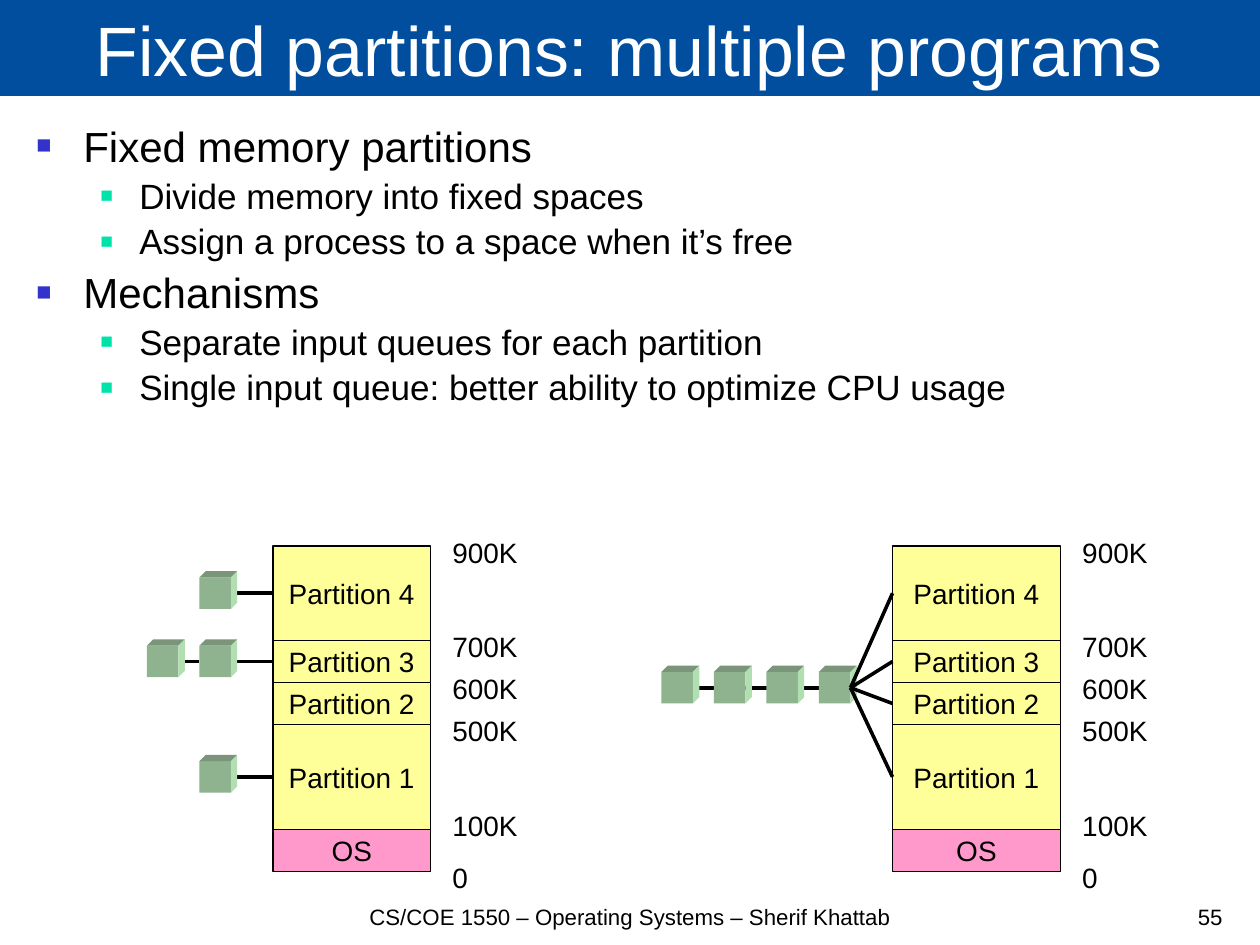
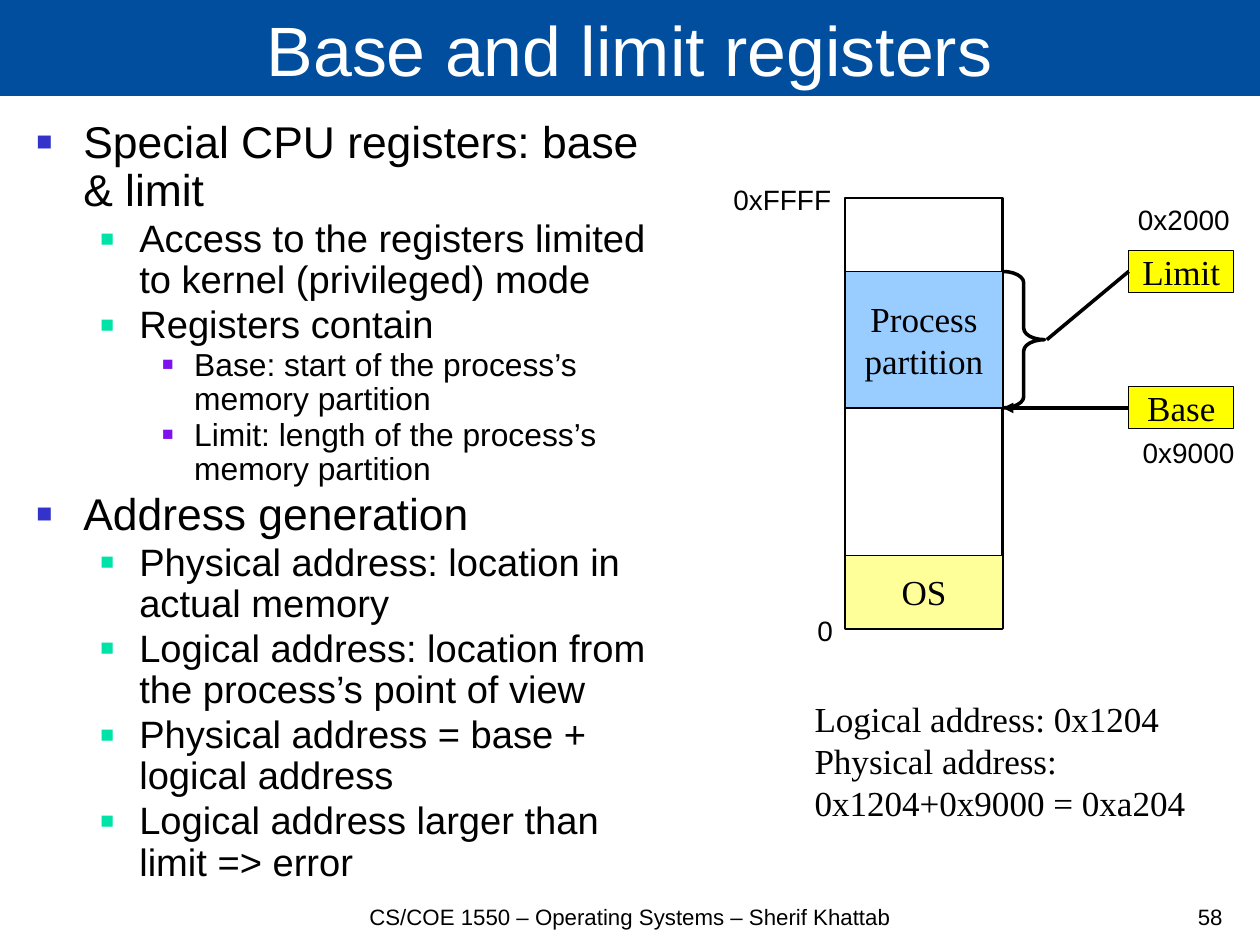
from lxml.etree import SubElement
from pptx import Presentation
from pptx.dml.color import RGBColor
from pptx.enum.shapes import MSO_CONNECTOR as LINK, MSO_SHAPE as SHAPE
from pptx.enum.text import MSO_ANCHOR as ANCHOR, PP_ALIGN as ALIGN
from pptx.oxml.ns import qn
from pptx.util import Cm, Inches, Pt

rgb = RGBColor.from_string
deck = Presentation()
deck.slide_width, deck.slide_height = Cm(28), Cm(21)
COLS = 120
UNIT = deck.slide_width / COLS

BLACK, WHITE, BLUE = "000000", "FFFFFF", "004E9D"
YELLOW, PINK, SKY, BRIGHT = "FFFF99", "FF99CC", "99CCFF", "FFFF00"
FRONT, TOP, SIDE = "8FB28F", "7A957A", "B2DFB2"
SANS, SERIF = "Arial", "Times New Roman"

LEVELS = [
    (0.41, 0.41, "3333CC", 0.1),
    (0.9, 0.34, "00E3A8", 0.1),
    (1.38, 0.28, "7F11EE", 0.05),
]
CENTRED = {"vertical_anchor": ANCHOR.MIDDLE, "word_wrap": False}
BOTTOM = {"vertical_anchor": ANCHOR.BOTTOM, "word_wrap": True}
LOOSE = {"word_wrap": False}
TIGHT = {"word_wrap": False, "margin_top": 0, "margin_bottom": 0}


def box(page, area, text="", fill=None, line=0, size=17.6, font=SANS, color=BLACK,
        align=ALIGN.CENTER, frame=CENTRED, kind=SHAPE.RECTANGLE):
    place = [round(n * UNIT) for n in area]
    if fill or line:
        part = page.shapes.add_shape(kind, *place)
        part.shadow.inherit = False
        if fill:
            part.fill.solid()
            part.fill.fore_color.rgb = rgb(fill)
        else:
            part.fill.background()
        if line:
            part.line.color.rgb = rgb(BLACK)
            part.line.width = Pt(line)
        else:
            part.line.fill.background()
    else:
        part = page.shapes.add_textbox(*place)
    for name, value in frame.items():
        setattr(part.text_frame, name, value)
    if text:
        paragraph = part.text_frame.paragraphs[0]
        paragraph.text = text
        paragraph.alignment = align
        for run in paragraph.runs:
            run.font.size, run.font.name = Pt(size), font
            run.font.color.rgb = rgb(color)
    return part


def link(page, x1, y1, x2, y2, width=2.25, arrow=False):
    ends = [round(n * UNIT) for n in (x1, y1, x2, y2)]
    wire = page.shapes.add_connector(LINK.STRAIGHT, *ends)
    wire.line.color.rgb = rgb(BLACK)
    wire.line.width = Pt(width)
    if arrow:
        SubElement(wire.line._get_or_add_ln(), qn("a:tailEnd"), type="triangle")
    SubElement(wire._element.spPr, qn("a:effectLst"))


TOPICS = [
    ("Fixed partitions: multiple programs", "55", 115.2, 1, (26.5, 22.1), [
        (0, "Fixed memory partitions"),
        (1, "Divide memory into fixed spaces"),
        (1, "Assign a process to a space when it’s free"),
        (0, "Mechanisms"),
        (1, "Separate input queues for each partition"),
        (1, "Single input queue: better ability to optimize CPU usage"),
    ]),
    ("Base and limit registers", "58", 62, 0.9, (28, 24, 20), [
        (0, "Special CPU registers: base & limit"),
        (1, "Access to the registers limited to kernel (privileged) mode"),
        (1, "Registers contain"),
        (2, "Base: start of the process’s memory partition"),
        (2, "Limit: length of the process’s memory partition"),
        (0, "Address generation"),
        (1, "Physical address: location in actual memory"),
        (1, "Logical address: location from the process’s point of view"),
        (1, "Physical address = base + logical address"),
        (1, "Logical address larger than limit => error"),
    ]),
]

pages = []
for title, number, body_width, spacing, sizes, points in TOPICS:
    page = deck.slides.add_slide(deck.slide_layouts[6])
    pages.append(page)
    box(page, (0, -0.1, COLS, 9.25), title, BLUE, size=44, color=WHITE, frame=BOTTOM)
    body = box(page, (2.4, 10.9, body_width, 73.2), frame={"word_wrap": True}).text_frame
    for index, (level, point) in enumerate(points):
        paragraph = body.add_paragraph() if index else body.paragraphs[0]
        left, hang, bullet_color, gap = LEVELS[level]
        run = paragraph.add_run()
        run.text = point
        run.font.size, run.font.name = Pt(sizes[level]), SANS
        run.font.color.rgb = rgb(BLACK)
        paragraph.level = level
        paragraph.line_spacing = spacing
        paragraph.space_before = Pt(round(sizes[level] * gap, 1))
        props = paragraph._p.get_or_add_pPr()
        props.set("marL", str(Inches(left)))
        props.set("indent", str(-Inches(hang)))
        tint = SubElement(props, qn("a:buClr"))
        SubElement(tint, qn("a:srgbClr"), val=bullet_color)
        SubElement(props, qn("a:buSzPct"), val="60000")
        SubElement(props, qn("a:buFont"), typeface=SANS)
        SubElement(props, qn("a:buChar"), char="■")
    box(page, (24.5, 85.9, 71, 3.25), "CS/COE 1550 – Operating Systems – Sherif Khattab",
        size=14, frame=BOTTOM)
    box(page, (112.5, 85.9, 5, 3.25), number, size=14, align=ALIGN.RIGHT, frame=BOTTOM)

partitions, registers = pages

REGIONS = [
    ("OS", 79, 83, PINK),
    ("Partition 1", 69, 79, YELLOW),
    ("Partition 2", 65, 69, YELLOW),
    ("Partition 3", 61, 65, YELLOW),
    ("Partition 4", 52, 61, YELLOW),
]
MARKS = [("0", 82), ("100K", 77), ("500K", 68), ("600K", 64), ("700K", 60), ("900K", 51)]
QUEUE_LENGTHS = {"Partition 1": 1, "Partition 3": 2, "Partition 4": 1}
MIDDLES = {name: (top + bottom) / 2 for name, top, bottom, _ in REGIONS}
CUBE, STEP, DEPTH = 3, 5, 0.6
LEFT_MEMORY, RIGHT_MEMORY = 26, 85
SHARED_ROW = 65.5

cubes = [(63 + STEP * place, SHARED_ROW) for place in range(4)]
link(partitions, 66, SHARED_ROW, 78, SHARED_ROW)
for name, length in QUEUE_LENGTHS.items():
    row = MIDDLES[name]
    target = LEFT_MEMORY
    for place in range(length):
        col = 19 - STEP * place
        link(partitions, col + CUBE + 0.2, row, target, row)
        cubes.append((col, row))
        target = col

for col, width in ((LEFT_MEMORY, 15), (RIGHT_MEMORY, 16)):
    for name, top, bottom, fill in REGIONS:
        box(partitions, (col, top, width, bottom - top), name, fill, 0.75)
    for mark, row in MARKS:
        box(partitions, (col + width + 1, row, 8.5, 3.25), mark, align=ALIGN.LEFT, frame=TIGHT)

for col, row in cubes:
    top, right = row - CUBE / 2, col + CUBE
    box(partitions, (col, top, CUBE, CUBE), fill=FRONT)
    back = (right + DEPTH, top - DEPTH)
    faces = [
        (TOP, [(col, top), (col + DEPTH, top - DEPTH), back, (right, top)]),
        (SIDE, [(right, top), back, (right + DEPTH, top + CUBE - DEPTH), (right, top + CUBE)]),
    ]
    for shade, corners in faces:
        corners = [(round(x * UNIT), round(y * UNIT)) for x, y in corners]
        outline = partitions.shapes.build_freeform(*corners[0])
        outline.add_line_segments(corners[1:])
        face = outline.convert_to_shape()
        face.shadow.inherit = False
        face.fill.solid()
        face.fill.fore_color.rgb = rgb(shade)
        face.line.fill.background()

for name, row in MIDDLES.items():
    if name != "OS":
        link(partitions, 81, SHARED_ROW, RIGHT_MEMORY, row)

MEMORY, MEMORY_WIDTH, REGISTER = 80.5, 15, 107.5
MEMORY_END = MEMORY + MEMORY_WIDTH
CEILING, LIMIT_ROW, BASE_ROW, OS_ROW, FLOOR = 18.85, 25.85, 38.85, 52.9, 59.85
serif = {"size": 22.1, "font": SERIF}

for text, top, bottom, fill, line in (
    ("", CEILING, FLOOR, WHITE, 1.5),
    ("Process\npartition", LIMIT_ROW, BASE_ROW, SKY, 0.75),
    ("OS", OS_ROW, FLOOR, YELLOW, 0.75),
):
    box(registers, (MEMORY, top, MEMORY_WIDTH, bottom - top), text, fill, line, **serif)

for text, row in (("Limit", LIMIT_ROW), ("Base", BASE_ROW)):
    box(registers, (REGISTER, row - 2, 10, 4), text, BRIGHT, 0.75, **serif)
    link(registers, MEMORY, row, MEMORY_END, row, 0.75)

brace = box(registers, (MEMORY_END, LIMIT_ROW, 4, BASE_ROW - LIMIT_ROW),
            line=2.25, kind=SHAPE.RIGHT_BRACE)
brace.adjustments[0] = 0.27
link(registers, REGISTER, BASE_ROW, MEMORY_END, BASE_ROW, arrow=True)
link(registers, MEMORY_END + 4.2, (LIMIT_ROW + BASE_ROW) / 2, REGISTER, LIMIT_ROW)

for text, col, row, width in (
    ("0", 76.7, 57.9, 3.7),
    ("0xFFFF", 68.6, 16.85, 11.65),
    ("0x2000", 107.2, 18.8, 11),
    ("0x9000", 107.65, 40.9, 11),
):
    box(registers, (col, row, width, 4.35), text, align=ALIGN.RIGHT, frame=LOOSE)
box(registers, (76.5, 65.85, 37.7, 13.2),
    "Logical address: 0x1204\nPhysical address:\n0x1204+0x9000 = 0xa204",
    align=ALIGN.LEFT, frame=LOOSE, **serif)

deck.save("out.pptx")
